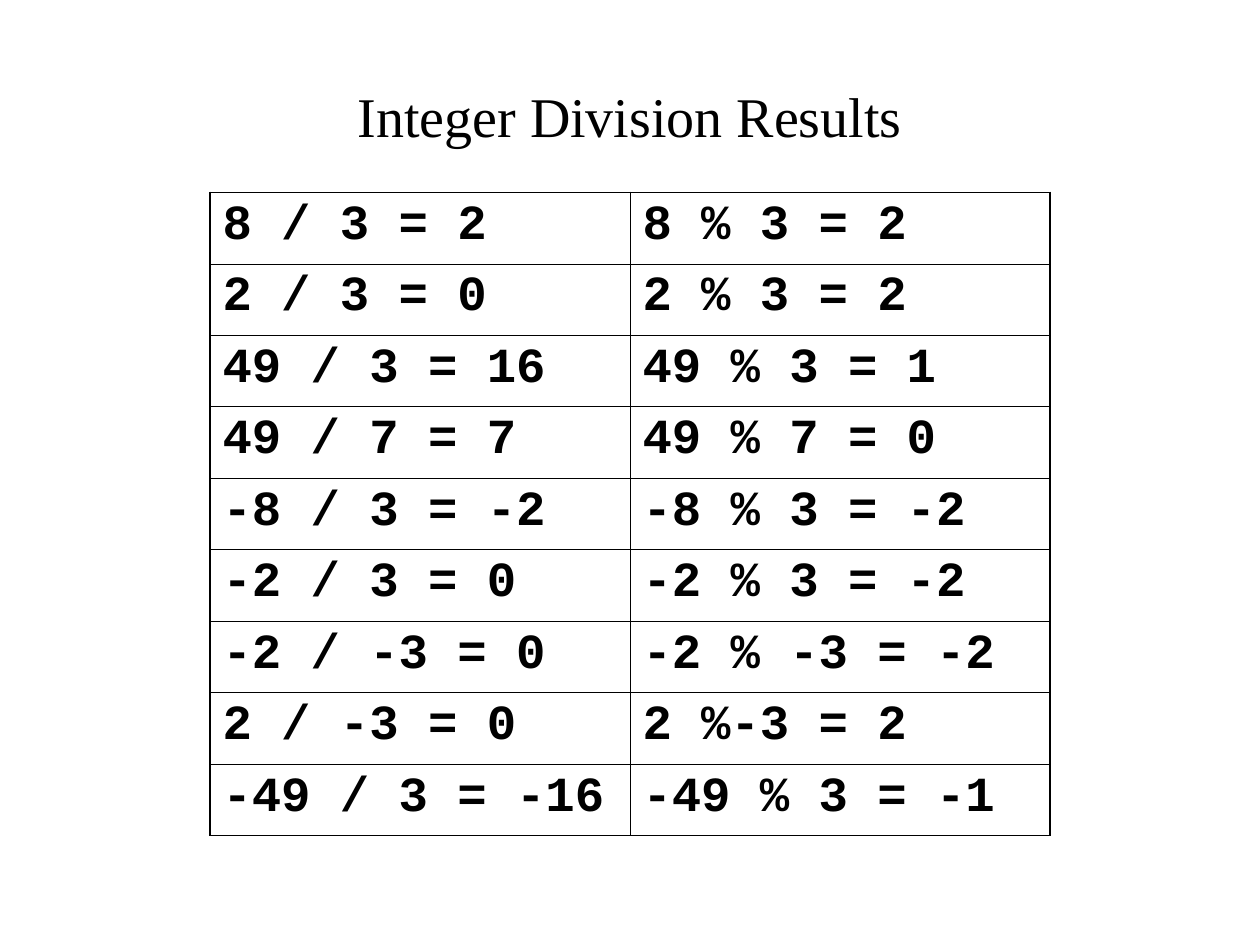
from lxml import etree
from pptx import Presentation
from pptx.dml.color import RGBColor
from pptx.enum.text import MSO_ANCHOR, PP_ALIGN
from pptx.oxml.ns import qn
from pptx.util import Pt

BLACK = RGBColor(0, 0, 0)
THICK, THIN = Pt(1.08), Pt(0.45)

RESULTS = [
    ("8 / 3 = 2", "8 % 3 = 2"),
    ("2 / 3 = 0", "2 % 3 = 2"),
    ("49 / 3 = 16", "49 % 3 = 1"),
    ("49 / 7 = 7", "49 % 7 = 0"),
    ("‑8 / 3 = ‑2", "‑8 % 3 = ‑2"),
    ("‑2 / 3 = 0", "‑2 % 3 = ‑2"),
    ("‑2 / ‑3 = 0", "‑2 % ‑3 = ‑2"),
    ("2 / ‑3 = 0", "2 %‑3 = 2"),
    ("‑49 / 3 = ‑16", "‑49 % 3 = ‑1"),
]


class SlideBuilder:
    title_font, title_size = "Times New Roman", Pt(32)
    code_font, code_size = "Courier New", Pt(28)

    def __init__(self, presentation):
        self.slide = presentation.slides.add_slide(presentation.slide_layouts[5])

    def add_text(self, paragraph, text, font, size, bold):
        run = paragraph.add_run()
        run.text = text
        run.font.name, run.font.size, run.font.bold = font, size, bold
        run.font.color.rgb = BLACK

    def title(self, text, left, top, width, height):
        heading = self.slide.shapes.title
        heading.left, heading.top = left, top
        heading.width, heading.height = width, height
        heading.text_frame.vertical_anchor = MSO_ANCHOR.MIDDLE
        paragraph = heading.text_frame.paragraphs[0]
        paragraph.alignment = PP_ALIGN.CENTER
        self.add_text(paragraph, text, self.title_font, self.title_size, False)

    def border(self, cell, widths):
        """Draw the left, right, top and bottom lines of a cell, in that order."""
        properties = cell._tc.get_or_add_tcPr()
        for index, (side, width) in enumerate(zip("LRTB", widths)):
            line = etree.Element(qn(f"a:ln{side}"), w=str(width))
            fill = etree.SubElement(line, qn("a:solidFill"))
            etree.SubElement(fill, qn("a:srgbClr"), val=str(BLACK))
            properties.insert(index, line)

    def table(self, rows, left, top, width, height):
        last_row, last_column = len(rows) - 1, len(rows[0]) - 1
        frame = self.slide.shapes.add_table(
            len(rows), len(rows[0]), left, top, width, height)
        grid = frame.table
        grid.first_row = grid.horz_banding = False
        for r, row in enumerate(rows):
            for c, expression in enumerate(row):
                cell = grid.cell(r, c)
                cell.fill.background()
                paragraph = cell.text_frame.paragraphs[0]
                paragraph.alignment = PP_ALIGN.JUSTIFY
                paragraph.space_before = Pt(7)
                self.add_text(paragraph, expression, self.code_font, self.code_size, True)
                outer = (c == 0, c == last_column, r == 0, r == last_row)
                self.border(cell, [THICK if edge else THIN for edge in outer])


def main():
    presentation = Presentation()
    presentation.slide_width, presentation.slide_height = Pt(720), Pt(540)
    builder = SlideBuilder(presentation)
    builder.title("Integer Division Results", Pt(54), Pt(48), Pt(612), Pt(36))
    builder.table(RESULTS, Pt(120), Pt(110), Pt(480), Pt(367.5))
    presentation.save("out.pptx")


if __name__ == "__main__":
    main()
